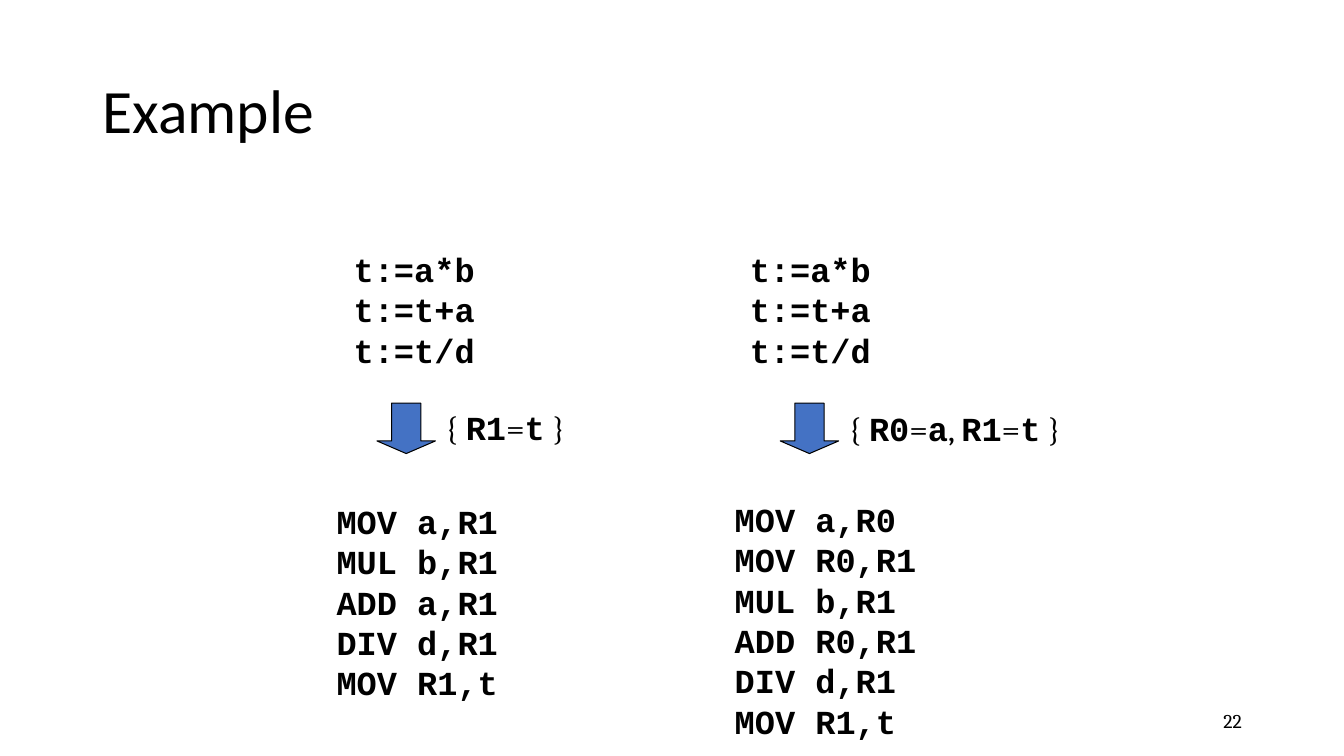
from dataclasses import dataclass
from itertools import groupby
from typing import Any

from pptx import Presentation
from pptx import util as u
from pptx.dml.color import RGBColor
from pptx.enum import shapes, text


@dataclass(frozen=True)
class Theme:
    ink: RGBColor = RGBColor(0, 0, 0)
    blue: RGBColor = RGBColor(0x44, 0x72, 0xC4)
    head: str = "Calibri"
    serif: str = "Cambria"
    mono: str = "Courier New"
    big: int = 44
    mid: int = 24
    small: int = 14


@dataclass(frozen=True)
class Box:
    col: float
    row: float
    wide: float
    high: float


@dataclass(frozen=True)
class Lane:
    col: float
    start: float
    state: str
    state_row: float
    state_wide: float
    code_col: float
    code_row: float
    code: str


SOURCE = "t:=a*b\vt:=t+a\vt:=t/d"
LANES = [
    Lane(11.22, 10.23, "{ R1=t }", 15.96, 4.41, 9.72, 19.68,
         "MOV a,R1\vMUL b,R1\vADD a,R1\vDIV d,R1\vMOV R1,t"),
    Lane(23.22, 22.02, "{ R0=a, R1=t }", 16, 7.29, 21.57, 19.6,
         "MOV a,R0\vMOV R0,R1\vMUL b,R1\vADD R0,R1\vDIV d,R1\vMOV R1,t"),
]
COLS, ROWS = 40, 30
ARROW = Box(0, 16, 1.74, 2)
CHAR, LINE = 0.6, 1.61
PAD_X, PAD_Y = 0.6, 0.4

look = Theme()
deck = Presentation()
deck.slide_width, deck.slide_height = u.Inches(13.33), u.Inches(7.5)
slide = deck.slides.add_slide(deck.slide_layouts[5])


def apply(item: Any, **vals: Any) -> None:
    for key, val in vals.items():
        setattr(item, key, val)


def place(box: Box) -> tuple[int, int, int, int]:
    wide, high = deck.slide_width / COLS, deck.slide_height / ROWS
    return (round(box.col * wide), round(box.row * high),
            round(box.wide * wide), round(box.high * high))


def style(run: Any, name: str, size: int, bold: bool = False) -> None:
    apply(run.font, name=name, size=u.Pt(size), bold=bold)
    run.font.color.rgb = look.ink


def add_box(box: Box) -> Any:
    frame = slide.shapes.add_textbox(*place(box)).text_frame
    apply(frame, word_wrap=False, auto_size=text.MSO_AUTO_SIZE.SHAPE_TO_FIT_TEXT)
    return frame


def add_code(col: float, row: float, code: str) -> None:
    lines = code.split("\v")
    wide = max(map(len, lines)) * CHAR + PAD_X
    frame = add_box(Box(col, row, wide, len(lines) * LINE + PAD_Y))
    frame.text = code
    for run in frame.paragraphs[0].runs:
        style(run, look.mono, look.mid, True)


def add_state(box: Box, state: str) -> None:
    para = add_box(box).paragraphs[0]
    for is_name, chars in groupby(state, str.isalnum):
        run = para.add_run()
        run.text = "".join(chars)
        style(run, look.mono if is_name else look.serif, look.mid, is_name)


def add_arrow(col: float) -> None:
    box = Box(col, ARROW.row, ARROW.wide, ARROW.high)
    arrow = slide.shapes.add_shape(shapes.MSO_SHAPE.DOWN_ARROW, *place(box))
    arrow.adjustments[0], arrow.adjustments[1] = 0.5, 0.25
    arrow.shadow.inherit = False
    arrow.fill.solid()
    arrow.fill.fore_color.rgb = look.blue
    arrow.line.color.rgb = look.ink
    arrow.line.width = u.Pt(0.75)


def add_title(box: Box, words: str) -> None:
    title = slide.shapes.title
    apply(title, **dict(zip(("left", "top", "width", "height"), place(box))))
    frame = title.text_frame
    frame.text = words
    apply(frame, auto_size=text.MSO_AUTO_SIZE.NONE,
          vertical_anchor=text.MSO_ANCHOR.MIDDLE)
    apply(frame.paragraphs[0], alignment=text.PP_ALIGN.LEFT, line_spacing=0.9)
    style(frame.paragraphs[0].runs[0], look.head, look.big)


def add_number(box: Box, words: str) -> None:
    frame = add_box(box)
    frame.text = words
    apply(frame, word_wrap=True, auto_size=text.MSO_AUTO_SIZE.NONE,
          vertical_anchor=text.MSO_ANCHOR.MIDDLE)
    frame.paragraphs[0].alignment = text.PP_ALIGN.RIGHT
    style(frame.paragraphs[0].runs[0], look.serif, look.small)


add_number(Box(28.26, 27.8, 9, 1.6), "22")
add_title(Box(2.75, 1.6, 34.5, 5.8), "Example")
for lane in LANES:
    add_code(lane.start, 9.68, SOURCE)
    add_arrow(lane.col)
    add_state(Box(lane.col + ARROW.wide, lane.state_row, lane.state_wide, 2),
              lane.state)
    add_code(lane.code_col, lane.code_row, lane.code)

deck.save("out.pptx")
